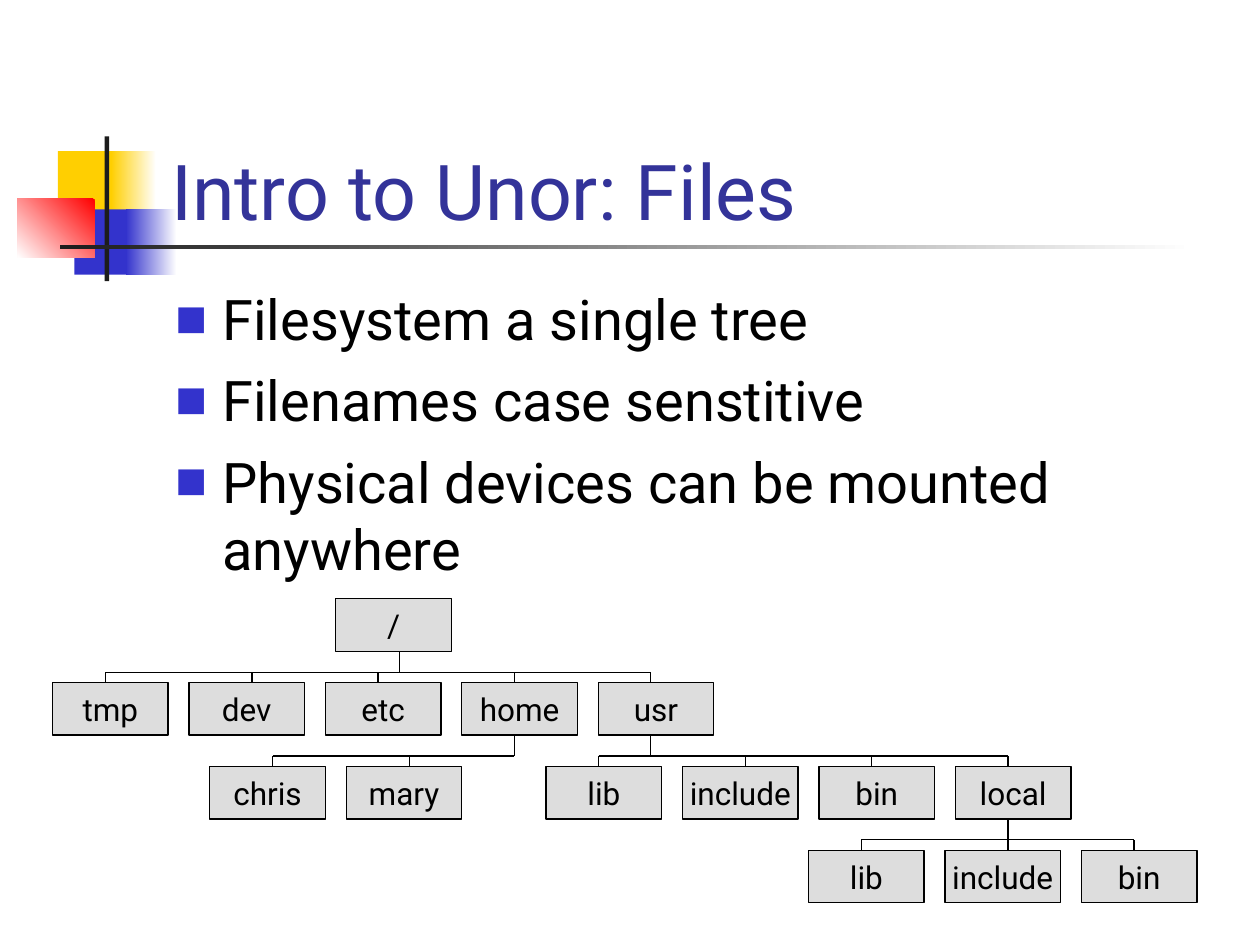
from lxml import etree
from pptx import Presentation, util as u
from pptx.dml.color import RGBColor
from pptx.enum import shapes, text
from pptx.oxml.ns import qn

Cm, Pt = u.Cm, u.Pt
BLACK = RGBColor(0x00, 0x00, 0x00)
WHITE = RGBColor(0xFF, 0xFF, 0xFF)
GRAY = RGBColor(0xDD, 0xDD, 0xDD)
DARK = RGBColor(0x1C, 0x1C, 0x1C)
GOLD = RGBColor(0xFF, 0xCF, 0x01)
BLUE = RGBColor(0x33, 0x33, 0xCC)
NAVY = RGBColor(0x33, 0x33, 0x99)
RED = RGBColor(0xFF, 0x00, 0x00)
FONT = "Roboto"


def add_box(home, left, top, width, height):
    box = home.add_shape(shapes.MSO_SHAPE.RECTANGLE, Cm(left), Cm(top), Cm(width), Cm(height))
    box.shadow.inherit = False
    return box


def add_line(home, x1, y1, x2, y2):
    line = home.add_connector(shapes.MSO_CONNECTOR.STRAIGHT, Cm(x1), Cm(y1), Cm(x2), Cm(y2))
    line.line.color.rgb = BLACK
    line.line.width = Pt(0.75)
    etree.SubElement(line._element.spPr, qn("a:effectLst"))


prs = Presentation()
prs.slide_width, prs.slide_height = Cm(25.4), Cm(19.05)
slide = prs.slides.add_slide(prs.slide_layouts[1])

decor = [
    (1.17, 3.05, 1.22, 1.32, [GOLD], 0),
    (2.24, 3.05, 0.91, 1.32, [WHITE, GOLD], 180),
    (1.5, 4.22, 1.17, 1.32, [BLUE], 0),
    (2.54, 4.22, 1.02, 1.32, [WHITE, BLUE], 180),
    (0.35, 4.01, 1.56, 1.18, [RED, WHITE], 225),
    (2.11, 2.75, 0.09, 2.92, [DARK], 0),
    (1.22, 4.94, 22.86, 0.09, [WHITE, DARK], 180),
]
for left, top, width, height, tones, angle in decor:
    box = add_box(slide.shapes, left, top, width, height)
    box.line.fill.background()
    if len(tones) == 1:
        box.fill.solid()
        box.fill.fore_color.rgb = tones[0]
    else:
        box.fill.gradient()
        box.fill.gradient_angle = angle
        for stop, tone, place in zip(box.fill.gradient_stops, tones, (0, 1)):
            stop.color.rgb = tone
            stop.position = place

title, body = slide.placeholders
items = ["Filesystem a single tree", "Filenames case senstitive",
         "Physical devices can be mounted anywhere"]
blocks = [
    (title, ["Intro to Unor: Files"], (3.2, 1.7, 21.64, 3.18), text.MSO_ANCHOR.BOTTOM, 44, NAVY),
    (body, items, (3.28, 5.61, 21.59, 11.43), text.MSO_ANCHOR.TOP, 32, BLACK),
]
for holder, lines, place, anchor, size, tone in blocks:
    for name, value in zip(("left", "top", "width", "height"), place):
        setattr(holder, name, Cm(value))
    frame = holder.text_frame
    frame.text = "\n".join(lines)
    look = {"vertical_anchor": anchor, "word_wrap": True, "auto_size": text.MSO_AUTO_SIZE.NONE}
    for name, value in look.items():
        setattr(frame, name, value)
    for para in frame.paragraphs:
        para.alignment = text.PP_ALIGN.LEFT
        font = para.runs[0].font
        font.name, font.size, font.color.rgb = FONT, Pt(size), tone
    slide.shapes._spTree.append(holder._element)

for para in body.text_frame.paragraphs:
    para.space_before = Pt(8)
    props = para._p.get_or_add_pPr()
    props.set("marL", str(Cm(0.95)))
    props.set("indent", str(-Cm(0.95)))
    color = etree.SubElement(props, qn("a:buClr"))
    etree.SubElement(color, qn("a:srgbClr"), val=str(BLUE))
    etree.SubElement(props, qn("a:buSzPct"), val="60000")
    etree.SubElement(props, qn("a:buFont"), typeface=FONT)
    etree.SubElement(props, qn("a:buChar"), char="■")

tree = slide.shapes.add_group_shape().shapes
wide, high, step, drop, rise = 2.33, 1.06, 2.75, 1.69, 0.21
first = 12.07
levels = [
    (0, 6.77, ["/"], None, []),
    (1, 1.06, ["tmp", "dev", "etc", "home", "usr"], 8.05, [2.12, 5.08, 7.62, 10.37, 13.12]),
    (2, 4.23, ["chris", "mary"], 10.37, [5.5, 8.26]),
    (2, 11.01, ["lib", "include", "bin", "local"], 13.12, [12.07, 15.03, 17.57, 20.32]),
    (3, 16.3, ["lib", "include", "bin"], 20.32, [17.36, 20.32, 22.86]),
]
for row, left, names, stem, ticks in levels:
    top = first + row * drop
    for i, name in enumerate(names):
        box = add_box(tree, left + i * step, top, wide, high)
        box.fill.solid()
        box.fill.fore_color.rgb = GRAY
        box.line.color.rgb = BLACK
        box.line.width = Pt(0.75)
        frame = box.text_frame
        frame.text = name
        frame.word_wrap = False
        frame.vertical_anchor = text.MSO_ANCHOR.MIDDLE
        para = frame.paragraphs[0]
        para.alignment = text.PP_ALIGN.CENTER
        font = para.runs[0].font
        font.name, font.size, font.color.rgb = FONT, Pt(18), BLACK
    if ticks:
        rail = top - rise
        add_line(tree, stem, top - drop + high, stem, rail)
        add_line(tree, min(ticks + [stem]), rail, max(ticks + [stem]), rail)
        for tick in ticks:
            add_line(tree, tick, rail, tick, top)

prs.save("out.pptx")
